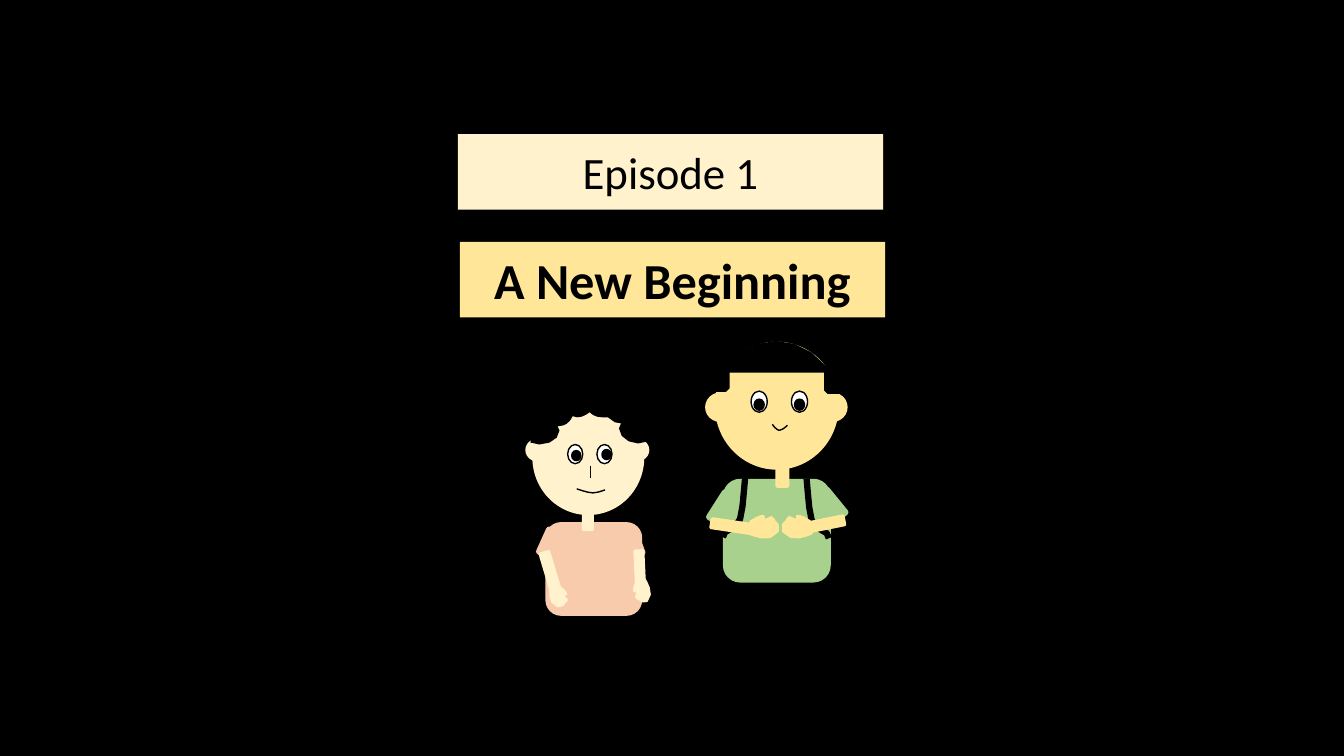
from pptx import Presentation
from pptx.dml.color import RGBColor
from pptx.enum.shapes import MSO_CONNECTOR, MSO_SHAPE
from pptx.enum.text import MSO_ANCHOR, MSO_AUTO_SIZE, PP_ALIGN
from pptx.oxml import parse_xml
from pptx.oxml.ns import nsdecls, qn
from pptx.util import Inches, Pt
from lxml.etree import SubElement

THEME = {
    "font": "Calibri", "episode_size": 32, "title_size": 36,
    "colors": {"black": "000000", "white": "FFFFFF", "cream": "FFF2CC",
               "gold": "FFE699", "green": "A9D18E", "peach": "F8CBAD"},
}
CURVE_STEPS = 3

# Placeholder index, text, left, top, fill, type size, bold
BANNERS = [
    (1, "Episode 1", 4.54, 1.33, "cream", THEME["episode_size"], False),
    (0, "A New Beginning", 4.56, 2.4, "gold", THEME["title_size"], True),
]
BANNER_SIZE = (4.22, 0.75)

# Each outline is a start point followed by L (line) and C (curve) segments.
# The hand is given in fractions of its box.
HAND = """0.21,0 L 0.58,0.06 L 0.79,0.22 L 0.91,0.35 L 0.92,0.44 L 0.79,0.48
L 0.97,0.65 L 0.88,0.77 L 0.84,0.78 L 0.74,0.91 L 0.62,0.95 L 0.42,0.98
L 0.1,0.78 L 0,0.52 L 0,0.3 L 0.02,0.13 L 0.21,0"""
TALL_HAIR = """7.7,3.39 C 7.88,3.39 8.06,3.48 8.18,3.63 L 8.22,3.69 L 7.17,3.69
L 7.21,3.63 C 7.33,3.48 7.51,3.39 7.7,3.39"""
SIDEBURN = """7.22,3.62 L 7.17,3.69 L 7.11,3.8 L 7.08,3.88
L 7.2,3.88 L 7.23,3.85 L 7.23,3.64 L 7.22,3.62"""
STRAP = """7.39,4.74 C 7.38,4.82 7.37,5.06 7.34,5.15 C 7.31,5.24 7.22,5.25 7.19,5.28
L 7.17,5.33"""
TALL_MOUTH = "7.66,4.21 C 7.68,4.24 7.71,4.27 7.73,4.27 C 7.76,4.27 7.81,4.22 7.81,4.22"
SHORT_MOUTH = "5.72,4.85 C 5.78,4.87 5.84,4.89 5.88,4.89 C 5.93,4.89 6,4.86 6,4.86"
CURLS = """5.84,3.94 C 6.09,3.94 6.3,4.09 6.39,4.29 L 6.42,4.38 L 6.33,4.4
C 6.23,4.4 6.14,4.33 6.14,4.25 L 6.16,4.2 L 6.1,4.19 L 6.03,4.14 L 5.97,4.14
C 5.92,4.14 5.88,4.12 5.86,4.1 L 5.85,4.09 C 5.81,4.12 5.77,4.14 5.73,4.14
L 5.68,4.13 C 5.66,4.18 5.62,4.21 5.59,4.22 L 5.53,4.23 L 5.55,4.27
C 5.55,4.35 5.46,4.41 5.35,4.41 L 5.26,4.39 L 5.29,4.29
C 5.38,4.09 5.59,3.94 5.84,3.94"""

# Parts run from back to front.
TALL_FRIEND = [
    *[("oval", (x, 3.9, 0.29, 0.28), {"fill": "gold", "line": "gold"}) for x in (7, 8.11)],
    ("oval", (7.09, 3.39, 1.23, 1.27), {"fill": "gold"}),
    *[part for x in (7.45, 7.85) for part in (
        ("oval", (x, 3.88, 0.16, 0.21), {"fill": "white", "line": "black"}),
        ("oval", (x + 0.03, 3.96, 0.1, 0.11), {"fill": "black", "line": "black"}))],
    ("outline", TALL_MOUTH, {"line": "black"}),
    ("outline", TALL_HAIR, {"fill": "black", "line": "black"}),
    ("outline", SIDEBURN, {"fill": "black", "line": "black"}),
    ("outline", SIDEBURN, {"fill": "black", "line": "black", "mirror": 15.41, "down": 0.02}),
    ("round", (7.17, 4.75, 1.07, 1.03), {"fill": "green"}),
    ("round", (8.14, 4.84, 0.2, 0.35), {"fill": "green", "turn": 320.7}),
    ("round", (7.69, 4.61, 0.14, 0.23), {"fill": "gold"}),
    ("outline", STRAP, {"line": "black", "width": 4.5}),
    ("round", (7.07, 4.87, 0.2, 0.35), {"fill": "green", "turn": 32.5}),
    ("round", (7.2, 5, 0.12, 0.44), {"fill": "gold", "turn": 278.4}),
    ("outline", STRAP, {"line": "black", "width": 4.5, "mirror": 15.39, "down": 0.01}),
    ("round", (8.07, 4.95, 0.12, 0.52), {"fill": "gold", "turn": 78.6}),
    ("hand", (7.45, 5.06, 0.25, 0.33), {"fill": "gold", "turn": 284.7}),
    ("hand", (7.78, 5.06, 0.25, 0.33), {"fill": "gold", "turn": 75.3, "mirror": 1}),
]
SHORT_FRIEND = [
    ("round", (5.41, 5.18, 0.96, 0.93), {"fill": "peach"}),
    ("round", (5.77, 5.06, 0.12, 0.21), {"fill": "cream"}),
    ("round", (6.18, 5.22, 0.18, 0.32), {"fill": "peach", "turn": 339.6}),
    ("round", (6.29, 5.45, 0.11, 0.4), {"fill": "cream", "turn": 357.4}),
    ("hand", (6.27, 5.73, 0.18, 0.26), {"fill": "cream", "turn": 337, "mirror": 1}),
    ("round", (5.36, 5.24, 0.19, 0.3), {"fill": "peach", "turn": 24.3}),
    ("round", (5.4, 5.46, 0.12, 0.45), {"fill": "cream", "turn": 343.3}),
    ("hand", (5.45, 5.8, 0.19, 0.23), {"fill": "cream"}),
    ("oval", (5.28, 3.97, 1.11, 1.14), {"fill": "cream"}),
    *[part for x, pupil_x, pupil_y in ((5.92, 5.97, 4.46), (5.63, 5.67, 4.47)) for part in (
        ("oval", (x, 4.41, 0.15, 0.19), {"fill": "white", "line": "black"}),
        ("oval", (pupil_x, pupil_y, 0.09, 0.1), {"fill": "black", "line": "black"}))],
    ("nose", (5.86, 4.62, 5.86, 4.74), {"line": "black", "width": 0.5}),
    ("outline", SHORT_MOUTH, {"line": "black"}),
    *[("oval", (x, 4.35, 0.25, 0.23), {"fill": "cream"}) for x in (5.21, 6.19)],
    ("outline", CURLS, {"fill": "black"}),
]
PRESETS = {"oval": MSO_SHAPE.OVAL, "round": MSO_SHAPE.ROUNDED_RECTANGLE}


def color(name):
    return RGBColor.from_string(THEME["colors"][name])


def trace(outline):
    """Turn an outline into points, with each cubic curve cut into short steps."""
    first, *segments = outline.replace("L", "|").replace("C", "|").split("|")
    points = [tuple(map(float, first.split(",")))]
    for segment in segments:
        ends = [tuple(map(float, pair.split(","))) for pair in segment.split()]
        if len(ends) == 1:
            points += ends
            continue
        knots = [points[-1], *ends]
        for step in range(1, CURVE_STEPS + 1):
            t = step / CURVE_STEPS
            weights = ((1 - t) ** 3, 3 * t * (1 - t) ** 2, 3 * t * t * (1 - t), t ** 3)
            points.append(tuple(sum(w * knot[axis] for w, knot in zip(weights, knots))
                                for axis in (0, 1)))
    return points


def add_outline(slide, points, closed):
    start, *rest = [(Inches(x), Inches(y)) for x, y in points]
    builder = slide.shapes.build_freeform(*start)
    builder.add_line_segments(rest, close=closed)
    return builder.convert_to_shape()


def add_part(slide, kind, geometry, look):
    if kind == "nose":
        part = slide.shapes.add_connector(MSO_CONNECTOR.STRAIGHT, *map(Inches, geometry))
        SubElement(part._element.spPr, qn("a:effectLst"))
    elif kind in PRESETS:
        part = slide.shapes.add_shape(PRESETS[kind], *map(Inches, geometry))
    else:
        points = trace(HAND if kind == "hand" else geometry)
        if "mirror" in look:
            points = [(look["mirror"] - x, y + look.get("down", 0)) for x, y in points]
        if kind == "hand":
            left, top, width, height = geometry
            points = [(left + x * width, top + y * height) for x, y in points]
        part = add_outline(slide, points, "fill" in look)
    if kind != "nose":
        part.shadow.inherit = False
        part.rotation = look.get("turn", 0)
        if "fill" in look:
            part.fill.solid()
            part.fill.fore_color.rgb = color(look["fill"])
        else:
            part.fill.background()
    if "line" in look:
        part.line.color.rgb = color(look["line"])
        part.line.width = Pt(look.get("width", 1))
    else:
        part.line.fill.background()


def fill_banner(slide, index, text, left, top, fill, size, bold):
    """Place a placeholder as a rounded panel with centred text."""
    box = slide.placeholders[index]
    places = zip(("left", "top", "width", "height"), (left, top, *BANNER_SIZE))
    for name, value in places:
        setattr(box, name, Inches(value))
    box._element.spPr.insert(1, parse_xml(
        f'<a:prstGeom {nsdecls("a")} prst="roundRect"><a:avLst/></a:prstGeom>'))
    box.fill.solid()
    box.fill.fore_color.rgb = color(fill)
    frame = box.text_frame
    frame.text = text
    frame_format = {"word_wrap": True, "auto_size": MSO_AUTO_SIZE.NONE,
                    "vertical_anchor": MSO_ANCHOR.MIDDLE}
    for name, value in frame_format.items():
        setattr(frame, name, value)
    para = frame.paragraphs[0]
    para.alignment, para.space_before = PP_ALIGN.CENTER, Pt(0)
    span = para.runs[0]
    for name, value in {"name": THEME["font"], "size": Pt(size), "bold": bold}.items():
        setattr(span.font, name, value)
    span.font.color.rgb = color("black")


def main():
    deck = Presentation()
    deck.slide_width, deck.slide_height = Inches(13.33), Inches(7.5)
    page = deck.slides.add_slide(deck.slide_layouts[0])
    page.background.fill.solid()
    page.background.fill.fore_color.rgb = color("black")
    for banner in BANNERS:
        fill_banner(page, *banner)
    for part in TALL_FRIEND + SHORT_FRIEND:
        add_part(page, *part)
    deck.save("out.pptx")


if __name__ == "__main__":
    main()
